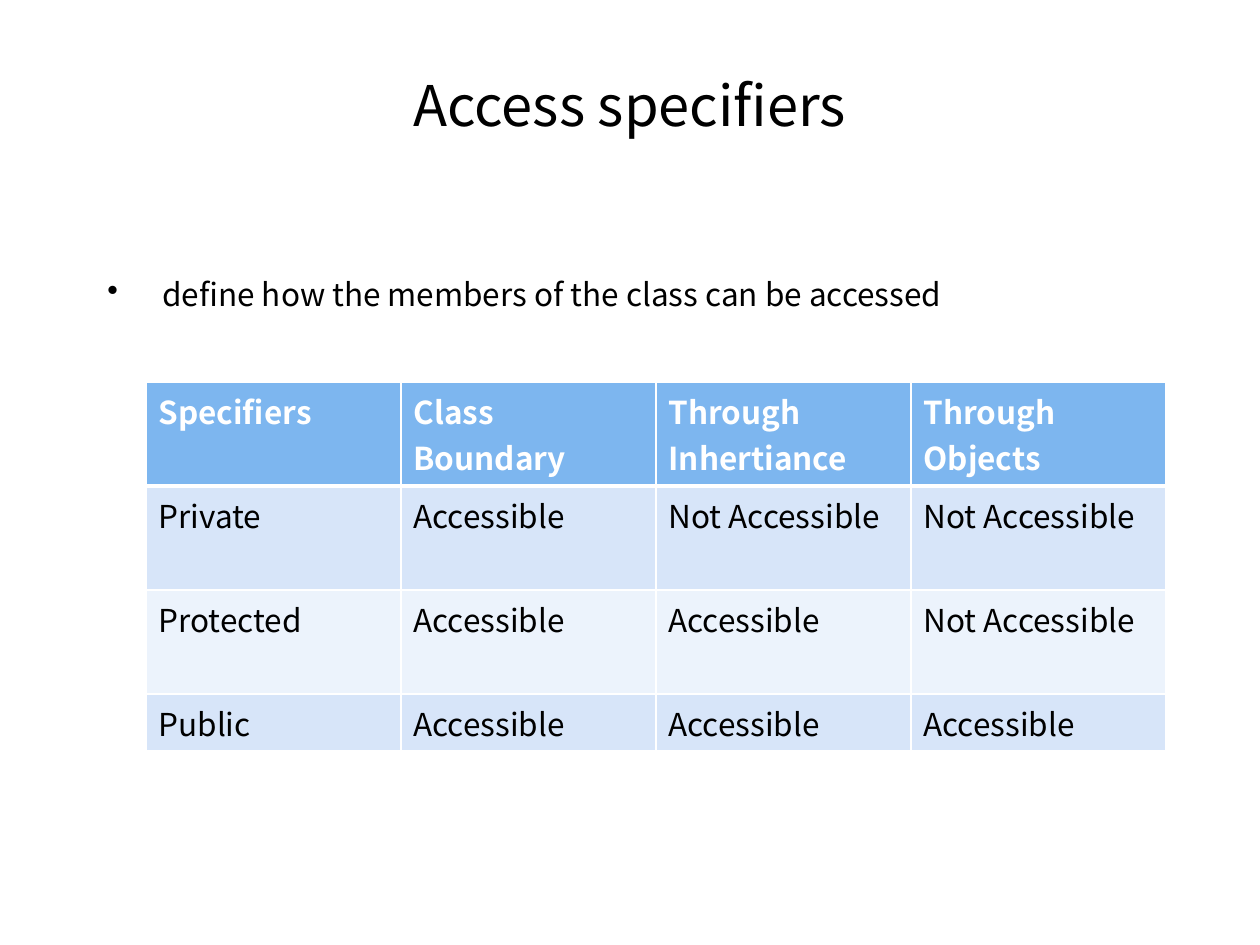
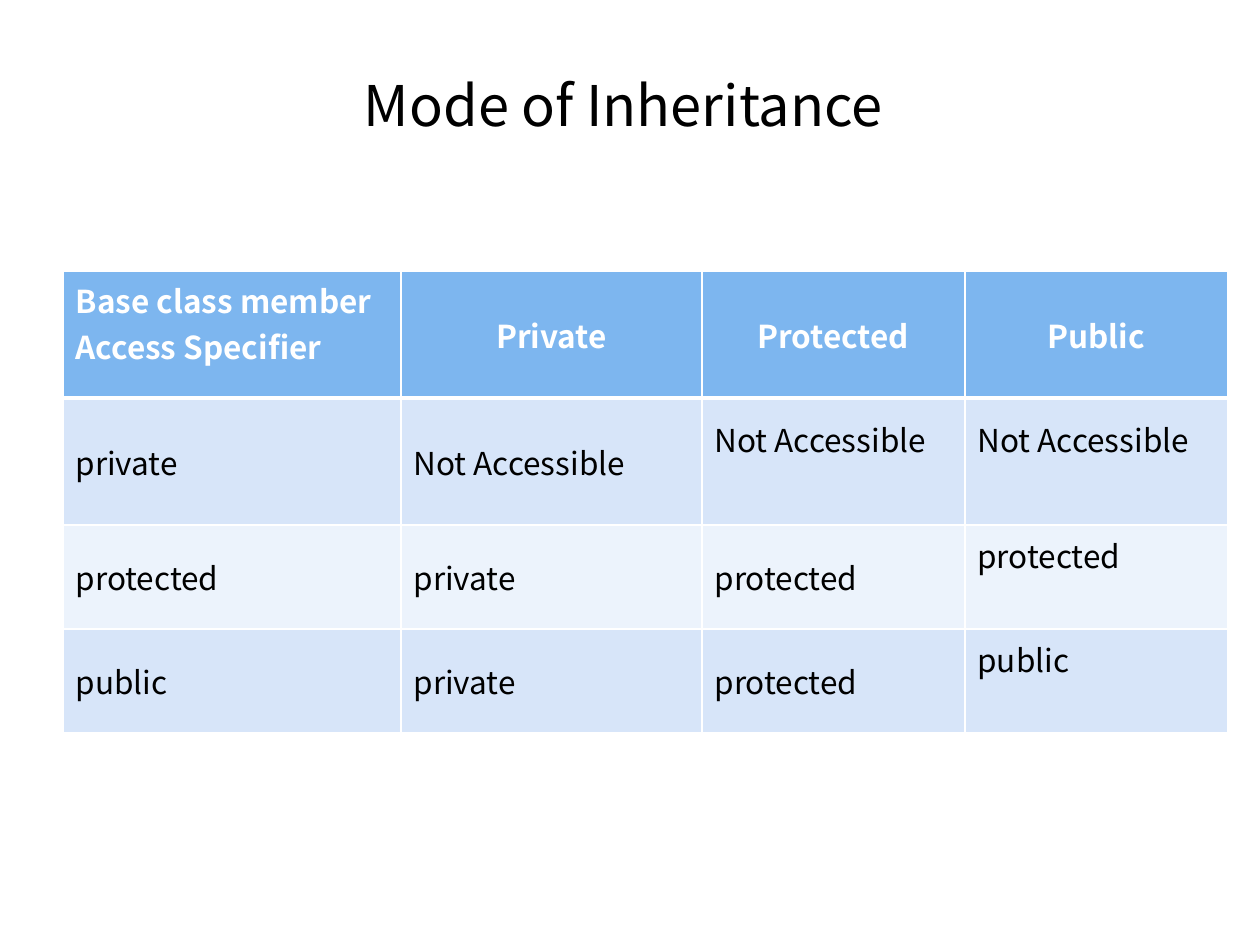
import pptx
import pptx.dml.color
import pptx.enum.text
import pptx.oxml
import pptx.oxml.ns
import pptx.util

EMU_PER_PX = 914400 // 126
FONT = "Noto Sans CJK JP"
COLORS = {
    "text": "000000",
    "header_text": "FFFFFF",
    "rule": "FFFFFF",
    "header": "7DB6EF",
    "odd_row": "D7E5F9",
    "even_row": "ECF3FC",
}
MIDDLE = pptx.enum.text.MSO_ANCHOR.MIDDLE
TOP = pptx.enum.text.MSO_ANCHOR.TOP
CENTER = pptx.enum.text.PP_ALIGN.CENTER
RAISED_MARGIN = 51


def px(length):
    return pptx.util.Emu(length * EMU_PER_PX)


def rgb(name):
    return pptx.dml.color.RGBColor.from_string(COLORS[name])


def add_run(paragraph, text, size, color="text", bold=False):
    run = paragraph.add_run()
    run.text = text
    run.font.name = FONT
    run.font.size = pptx.util.Pt(size)
    run.font.bold = bold
    run.font.color.rgb = rgb(color)


def add_text_frame(slide, left, top, width, height):
    frame = slide.shapes.add_textbox(px(left), px(top), px(width), px(height)).text_frame
    frame.word_wrap = True
    return frame


def add_title(slide, text):
    title = add_text_frame(slide, 63, 38, 1134, 132)
    title.vertical_anchor = MIDDLE
    title.paragraphs[0].alignment = CENTER
    add_run(title.paragraphs[0], text, 32)


def add_bullet(slide, text):
    definition = add_text_frame(slide, 95, 273, 1071, 567).paragraphs[0]
    definition.line_spacing = 0.9
    properties = definition._p.get_or_add_pPr()
    properties.set("marL", str(px(48)))
    properties.set("indent", str(px(-48)))
    properties.append(pptx.oxml.parse_xml(
        f'<a:buChar {pptx.oxml.ns.nsdecls("a")} char="•"/>'))
    add_run(definition, text, 18)


def add_borders(cell, row):
    widths = {"L": 1, "R": 1, "T": 3 if row == 1 else 1, "B": 3 if row == 0 else 1}
    properties = cell._tc.get_or_add_tcPr()
    for position, (side, width) in enumerate(widths.items()):
        properties.insert(position, pptx.oxml.parse_xml(
            f'<a:ln{side} {pptx.oxml.ns.nsdecls("a")} w="{pptx.util.Pt(width)}">'
            f'<a:solidFill><a:srgbClr val="{COLORS["rule"]}"/></a:solidFill>'
            f'</a:ln{side}>'))


def row_color(row):
    if row == 0:
        return "header"
    return "odd_row" if row % 2 else "even_row"


def add_table(slide, left, top, widths, heights, rows):
    table = slide.shapes.add_table(
        len(heights), len(widths), px(left), px(top),
        px(sum(widths)), px(sum(heights))).table
    for column, width in zip(table.columns, widths):
        column.width = px(width)
    for r, (height, texts) in enumerate(zip(heights, rows)):
        table.rows[r].height = px(height)
        for c, text in enumerate(texts):
            cell = table.cell(r, c)
            cell.fill.solid()
            cell.fill.fore_color.rgb = rgb(row_color(r))
            add_borders(cell, r)
            add_run(cell.text_frame.paragraphs[0], text, 18,
                    "text" if r else "header_text", r == 0)
    return table


def center_cells(table, raised):
    for r, row in enumerate(table.rows):
        for c, cell in enumerate(row.cells):
            cell.vertical_anchor = TOP if r == c == 0 else MIDDLE
            if r == 0 and c > 0:
                cell.text_frame.paragraphs[0].alignment = CENTER
            if (r, c) in raised:
                cell.margin_bottom = px(RAISED_MARGIN)


def add_slide(deck, title):
    slide = deck.slides.add_slide(deck.slide_layouts[6])
    add_title(slide, title)
    return slide


def main():
    deck = pptx.Presentation()
    deck.slide_width = pptx.util.Inches(10)
    deck.slide_height = pptx.util.Inches(7.5)

    specifiers = add_slide(deck, "Access specifiers")
    add_bullet(specifiers, " define how the members of the class can be accessed")
    add_table(specifiers, 146, 382, [255] * 4, [104, 104, 104, 57], [
        ["Specifiers", "Class Boundary", "Through Inhertiance", "Through Objects"],
        ["Private", "Accessible", "Not Accessible", "Not Accessible"],
        ["Protected", "Accessible", "Accessible", "Not Accessible"],
        ["Public", "Accessible", "Accessible", "Accessible"],
    ])

    inheritance = add_slide(deck, "Mode of Inheritance ")
    modes = add_table(inheritance, 63, 271, [338, 301, 263, 263], [127, 127, 104, 104], [
        ["Base class member Access Specifier", "Private", "Protected", "Public"],
        ["private", "Not Accessible", "Not Accessible", "Not Accessible"],
        ["protected", "private", "protected", "protected"],
        ["public", "private", "protected", "public"],
    ])
    center_cells(modes, raised={(1, 2), (1, 3), (2, 3), (3, 3)})

    deck.save("out.pptx")


if __name__ == "__main__":
    main()
